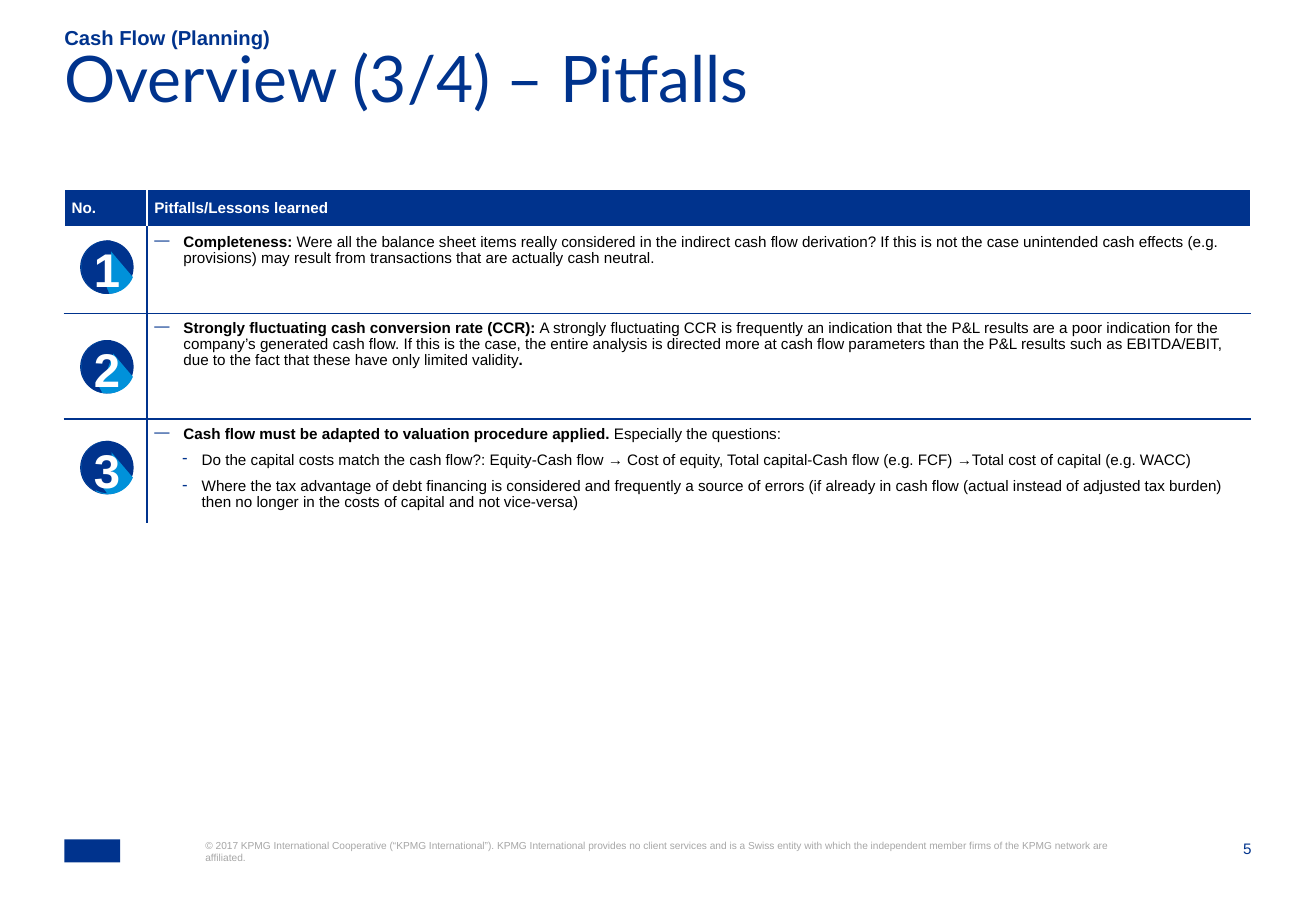
from lxml import etree
from pptx import Presentation
from pptx import util as u
from pptx.dml.color import RGBColor
from pptx.enum import shapes, text
from pptx.oxml.ns import qn

THEME = {
    "navy": "00338D", "sky": "0091DA", "white": "FFFFFF", "black": "000000",
    "grey": "A6A6A6", "body": "Arial", "heading": "Lato",
    "title": 38, "kicker": 12, "text": 9, "legal": 6, "digit": 28,
}

KICKER = "Cash Flow (Planning)"
TITLE = "Overview (3/4) – Pitfalls"
LEGAL = ("© 2017 KPMG International Cooperative (“KPMG International”). KPMG International "
         "provides no client services and is a Swiss entity with which the independent member "
         "firms of the KPMG network are affiliated.")
PAGE_NUMBER = "5"
HEADERS = ["No.", "Pitfalls/Lessons learned"]

# Each pitfall is a list of paragraphs: (level, [(words, bold), ...])
PITFALLS = [
    [(0, [("Completeness: ", True),
          ("Were all the balance sheet items really considered in the indirect cash flow "
           "derivation? If this is not the case unintended cash effects (e.g. provisions) may "
           "result from transactions that are actually cash neutral.", False)])],
    [(0, [("Strongly fluctuating cash conversion rate (CCR): ", True),
          ("A strongly fluctuating CCR is frequently an indication that the P&L results are a "
           "poor indication for the company’s generated cash flow. If this is the case, the "
           "entire analysis is directed more at cash flow parameters than the P&L results such "
           "as EBITDA/EBIT, due to the fact that these have only limited validity", False),
          (".", True)])],
    [(0, [("Cash flow must be adapted to valuation procedure applied. ", True),
          ("Especially the questions:", False)]),
     (1, [("Do the capital costs match the cash flow?: Equity-Cash flow → Cost of equity, Total "
           "capital-Cash flow (e.g. FCF) →Total cost of capital (e.g. WACC)", False)]),
     (1, [("Where the tax advantage of debt financing is considered and frequently a source of "
           "errors (if already in cash flow (actual instead of adjusted tax burden) \n"
           "then no longer in the costs of capital and not vice-versa)", False)])],
]

LEFT, WIDTH = 0.53, 9.76
TABLE_TOP = 1.56
COLUMNS = [0.68, 9.08]
ROWS = [0.31, 0.71, 0.87, 0.83]
BULLETS = [("—", 0.24, -0.24), ("-", 0.39, -0.16)]  # mark, margin, indent by level

BADGE_LEFT, BADGE_SIZE = 0.66, 0.44
# Per badge: top, start of the shade chord, cover outline, foot (box, rotation, start).
# Outlines and boxes are offsets from the badge corner.
BADGES = [
    (1.98, 58.23, [(0.1, 0.05), (0.25, 0.05), (0.25, 0.36), (0.1, 0.36)],
     ((0.05, 0.1, 0.34, 0.34), 315, 77.05)),
    (2.8, 70.86, [(0.1, 0.05), (0.29, 0.06), (0.18, 0.36), (0.1, 0.36)],
     ((0.05, 0.15, 0.23, 0.31), 306.1, 81.95)),
    (3.63, 71, [(0.1, 0.05), (0.26, 0.06), (0.26, 0.35), (0.1, 0.36)],
     ((0.07, 0.15, 0.23, 0.31), 298, 81.95)),
]
CHORD_END = 166.04


def color(name):
    return RGBColor.from_string(THEME[name])


def add_words(para, words, size, tint, bold=False, face="body"):
    for index, line in enumerate(words.split("\n")):
        if index:
            para.add_line_break()
        span = para.add_run()
        span.text = line
        span.font.name = THEME[face]
        span.font.size = u.Pt(THEME[size])
        span.font.bold = bold
        span.font.color.rgb = color(tint)


def add_label(page, box, words, size, tint="navy", bold=False, face="body",
              align=text.PP_ALIGN.LEFT, anchor=text.MSO_ANCHOR.TOP, spacing=None, wrap=True):
    frame = page.shapes.add_textbox(*map(u.Inches, box)).text_frame
    frame.word_wrap = wrap
    frame.vertical_anchor = anchor
    if wrap:
        frame.margin_left = frame.margin_right = frame.margin_top = frame.margin_bottom = 0
    else:
        frame.auto_size = text.MSO_AUTO_SIZE.SHAPE_TO_FIT_TEXT
    para = frame.paragraphs[0]
    para.alignment = align
    if spacing:
        para.line_spacing = spacing
    add_words(para, words, size, tint, bold, face)


def paint(shape, tint):
    shape.shadow.inherit = False
    shape.fill.solid()
    shape.fill.fore_color.rgb = color(tint)
    shape.line.fill.background()


def add_figure(page, kind, box, tint, angles=(), rotation=0):
    shape = page.shapes.add_shape(kind, *map(u.Inches, box))
    for index, angle in enumerate(angles):
        shape.adjustments[index] = angle
    shape.rotation = rotation
    paint(shape, tint)


def add_badge(page, number, top, shade_start, cover, foot):
    """Round number badge with a long light-blue digit shadow."""
    oval, chord = shapes.MSO_SHAPE.OVAL, shapes.MSO_SHAPE.CHORD
    disc = (BADGE_LEFT, top, BADGE_SIZE, BADGE_SIZE)
    shifted = (BADGE_LEFT + 0.01, *disc[1:])
    add_figure(page, oval, disc, "navy")
    add_figure(page, chord, shifted, "sky", (13.23, 154.41))
    add_figure(page, chord, shifted, "navy", (shade_start, CHORD_END))

    points = [(u.Inches(BADGE_LEFT + x), u.Inches(top + y)) for x, y in cover]
    outline = page.shapes.build_freeform(*points[0])
    outline.add_line_segments(points[1:], close=True)
    paint(outline.convert_to_shape(), "navy")

    (x, y, width, height), rotation, start = foot
    add_figure(page, chord, (BADGE_LEFT + x, top + y, width, height), "navy",
               (start, CHORD_END), rotation)
    add_label(page, (BADGE_LEFT + 0.01, top - 0.05, 0.42, 0.57), str(number), "digit", "white",
              bold=True, align=text.PP_ALIGN.CENTER, wrap=False)


def style_cell(cell, fill, borders):
    """Set margins, fill and the border colours, given by side."""
    cell.margin_left = cell.margin_right = u.Inches(0.06)
    cell.margin_top = cell.margin_bottom = u.Inches(0.06)
    properties = cell._tc.get_or_add_tcPr()
    for side in "LRTB":
        line = etree.SubElement(properties, qn("a:ln" + side), w=str(u.Pt(1)))
        solid = etree.SubElement(line, qn("a:solidFill"))
        etree.SubElement(solid, qn("a:srgbClr"), val=THEME[borders[side]])
    cell.fill.solid()
    cell.fill.fore_color.rgb = color(fill)


def add_bullet(para, level):
    mark, margin, indent = BULLETS[level]
    para.level = level
    properties = para._p.get_or_add_pPr()
    properties.set("marL", str(u.Inches(margin)))
    properties.set("indent", str(u.Inches(indent)))
    tint = etree.SubElement(properties, qn("a:buClr"))
    etree.SubElement(tint, qn("a:srgbClr"), val=THEME["navy"])
    etree.SubElement(properties, qn("a:buChar"), char=mark)
    para.space_after = u.Pt(6)


def add_pitfall_table(page):
    box = (LEFT, TABLE_TOP, WIDTH, sum(ROWS))
    table = page.shapes.add_table(len(ROWS), len(COLUMNS), *map(u.Inches, box)).table
    table.horz_banding = False
    for column, width in zip(table.columns, COLUMNS):
        column.width = u.Inches(width)
    for row, height in zip(table.rows, ROWS):
        row.height = u.Inches(height)

    last = len(ROWS) - 1
    for r in range(len(ROWS)):
        for c in range(len(COLUMNS)):
            divider = "navy" if r else "white"
            borders = {
                "L": divider if c else "white",
                "R": "white" if c else divider,
                "T": "navy" if r > 1 else "white",
                "B": "navy" if 0 < r < last else "white",
            }
            style_cell(table.cell(r, c), "white" if r else "navy", borders)

    for c, words in enumerate(HEADERS):
        cell = table.cell(0, c)
        cell.vertical_anchor = text.MSO_ANCHOR.MIDDLE
        para = cell.text_frame.paragraphs[0]
        para.line_spacing = 0.95
        add_words(para, words, "text", "white", bold=True)

    for r, paragraphs in enumerate(PITFALLS, 1):
        frame = table.cell(r, 1).text_frame
        for index, (level, spans) in enumerate(paragraphs):
            para = frame.add_paragraph() if index else frame.paragraphs[0]
            add_bullet(para, level)
            para.line_spacing = 0.95
            for words, bold in spans:
                add_words(para, words, "text", "black", bold)


def main():
    deck = Presentation()
    deck.slide_width, deck.slide_height = u.Inches(10.83), u.Inches(7.5)
    page = deck.slides.add_slide(deck.slide_layouts[6])

    add_label(page, (9.87, 6.91, 0.43, 0.16), PAGE_NUMBER, "text", align=text.PP_ALIGN.RIGHT)
    add_figure(page, shapes.MSO_SHAPE.RECTANGLE, (LEFT, 6.91, 0.46, 0.19), "navy")
    add_label(page, (1.69, 6.91, 7.49, 0.41), LEGAL, "legal", "grey")
    add_label(page, (LEFT, 0.22, 9.4, 0.19), KICKER, "kicker", bold=True,
              anchor=text.MSO_ANCHOR.BOTTOM)
    add_label(page, (LEFT, 0.49, WIDTH, 0.79), TITLE, "title", face="heading", spacing=0.7)
    add_pitfall_table(page)
    for number, badge in enumerate(BADGES, 1):
        add_badge(page, number, *badge)

    deck.save("out.pptx")


if __name__ == "__main__":
    main()
